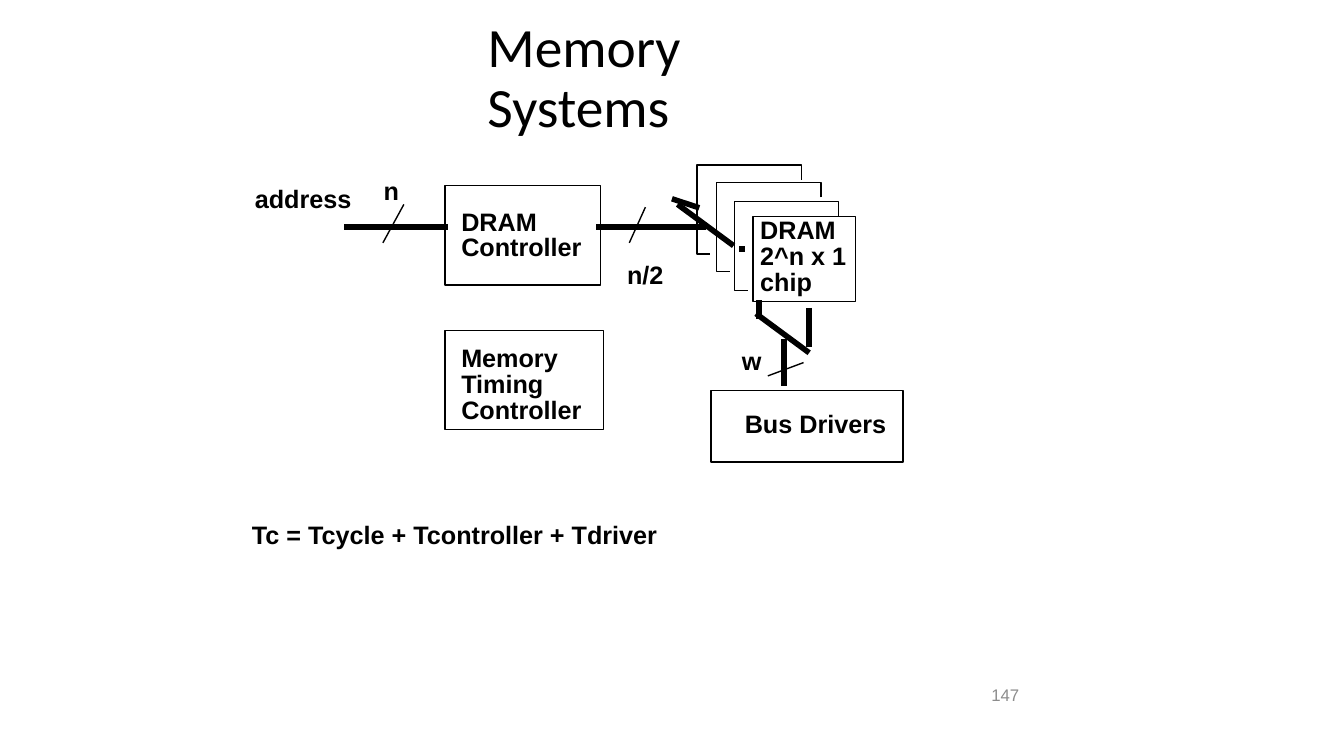
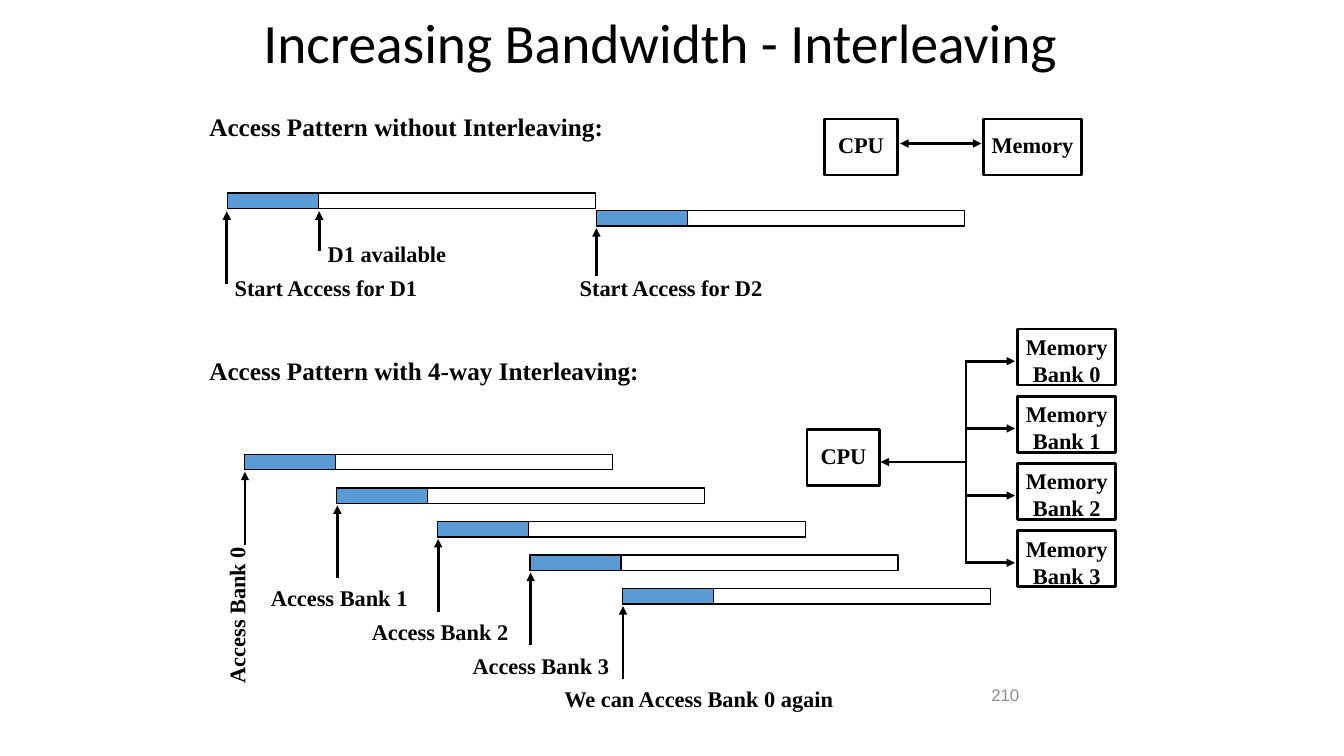
from dataclasses import dataclass

from pptx import Presentation
from pptx.dml.color import RGBColor
from pptx.enum import shapes, text
from pptx.oxml.ns import qn
from pptx.util import Pt

LEFT, MID = text.PP_ALIGN.LEFT, text.PP_ALIGN.CENTER


@dataclass(frozen=True)
class Theme:
    ink: RGBColor = RGBColor(0, 0, 0)
    gray: RGBColor = RGBColor(0x8C, 0x8C, 0x8C)
    blue: RGBColor = RGBColor(0x5B, 0x9B, 0xD5)
    thin: float = 1
    mid: float = 2
    bold: float = 4


T = Theme()
TITLE = dict(name="Calibri", size=Pt(39.6), bold=False)
FOOT = dict(name="Arial", size=Pt(12), bold=False)
SANS = dict(name="Arial", size=Pt(18), bold=True)
HEAD = dict(name="Times New Roman", size=Pt(18), bold=True)
SERIF = dict(HEAD, size=Pt(16))


def put(item, form):
    for key, val in form.items():
        setattr(item, key, val)


def write(frame, words, font, pad, gap=1.0, align=LEFT, wrap=True,
          anchor=text.MSO_ANCHOR.TOP, color=T.ink):
    """Fill a text frame, one paragraph a line; pad is (left, top)."""
    left, top = map(Pt, pad)
    put(frame, dict(word_wrap=wrap, auto_size=text.MSO_AUTO_SIZE.NONE,
                    vertical_anchor=anchor, margin_left=left,
                    margin_right=0, margin_top=top, margin_bottom=top))
    frame.text = words
    for para in frame.paragraphs:
        put(para, dict(alignment=align, line_spacing=gap))
        put(para.font, font)
        para.font.color.rgb = color


def edge(shape, width, fill=None):
    shape.shadow.inherit = False
    if fill is None:
        shape.fill.background()
    else:
        shape.fill.solid()
        shape.fill.fore_color.rgb = fill
    shape.line.color.rgb = T.ink
    shape.line.width = Pt(width)


class Pane:
    """A region of a slide; all lengths are points from its top left."""

    def __init__(self, slide, x, y):
        self.tree, self.x, self.y = slide.shapes, x, y

    def spot(self, x, y):
        return Pt(self.x + x), Pt(self.y + y)

    def box(self, x, y, w, h, width=T.thin, fill=None):
        rect = self.tree.add_shape(shapes.MSO_SHAPE.RECTANGLE,
                                   *self.spot(x, y), Pt(w), Pt(h))
        edge(rect, width, fill)
        return rect

    def block(self, x, y, w, h, words, pad):
        write(self.box(x, y, w, h).text_frame, words, SANS, pad, gap=0.85)

    def unit(self, x, y, w, words, top):
        rect = self.box(x, y, w, 40, T.mid)
        write(rect.text_frame, words, SERIF, (0, top), align=MID)

    def label(self, x, y, w, h, words, font=SERIF, turn=0):
        note = self.tree.add_textbox(*self.spot(x, y), Pt(w), Pt(h))
        note.rotation = turn
        sans = font is SANS
        write(note.text_frame, words, font, (5, 2.2) if sans else (7.2, 3.6),
              gap=0.85 if sans else 1.0, wrap=False)

    def line(self, x1, y1, x2, y2, width=T.mid, ends=()):
        wire = self.tree.add_connector(
            shapes.MSO_CONNECTOR.STRAIGHT,
            *self.spot(x1, y1), *self.spot(x2, y2))
        wire.line.color.rgb = T.ink
        wire.line.width = Pt(width)
        props = wire._element.spPr
        stroke = props.find(qn("a:ln"))
        for end in ends:
            tip = stroke.makeelement(qn(f"a:{end}End"), {"type": "triangle"})
            stroke.append(tip)
        props.append(props.makeelement(qn("a:effectLst"), {}))

    def rise(self, x, y, h):
        """Upward arrow whose tip is at x, y."""
        self.line(x, y, x, y + h, ends=["head"])

    def card(self, x, y):
        """Visible edges of a chip that lies behind another."""
        dots = [(74.5, 10.5), (74.5, 0), (0, 0), (0, 63.5), (9.5, 63.5)]
        dots = [self.spot(x + dx, y + dy) for dx, dy in dots]
        pen = self.tree.build_freeform(*dots[0])
        pen.add_line_segments(dots[1:], close=False)
        edge(pen.convert_to_shape(), T.thin)

    def bar(self, x, y):
        """Memory cycle with its access time in blue."""
        self.box(x, y, 65, 11, fill=T.blue)
        self.box(x, y, 263, 11)


def start(deck, words, at, page):
    slide = deck.slides.add_slide(deck.slide_layouts[5])
    title = slide.shapes.title
    put(title, dict(zip(("left", "top", "width", "height"), map(Pt, at))))
    write(title.text_frame, words, TITLE, (7.2, 3.6), gap=0.9,
          anchor=text.MSO_ANCHOR.MIDDLE)
    foot = slide.shapes.add_textbox(Pt(701), Pt(479.5), Pt(48), Pt(34))
    write(foot.text_frame, page, FOOT, (7.2, 3.6), color=T.gray,
          anchor=text.MSO_ANCHOR.MIDDLE)
    return slide


def control(pane):
    pane.label(2, 6, 79, 22, "address", SANS)
    pane.label(94, 0, 21, 22, "n", SANS)
    pane.label(268, 60, 36, 22, "n/2", SANS)
    pane.block(143, 6.5, 111, 71, "DRAM\nController", (11.5, 18))
    pane.block(143, 110, 113, 71, "Memory\nTiming\nController", (11.5, 12))
    pane.line(71, 36, 145, 36, T.bold)
    pane.line(251, 36, 329, 36, T.bold)
    pane.line(113.5, 20, 98.5, 47.5, T.thin)
    pane.line(286, 22, 274.5, 47.5, T.thin)
    pane.label(0, 246, 304, 22, "Tc = Tcycle + Tcontroller + Tdriver", SANS)


def chips(pane):
    for x, y in ((18, 0), (32, 12.5), (44.5, 26)):
        pane.card(x, y)
    pane.block(58, 36.5, 73, 61, "DRAM\n2^n x 1\nchip", (5, 2.2))
    for ends in ((19.5, 30.5, 0, 24), (4, 28, 44, 57.5), (48, 60, 52, 60)):
        pane.line(*ends, T.bold)


def output(pane):
    for ends in ((70, 6, 70, 34), (70, 38, 32, 10),
                 (34, 14, 34, 0), (52, 28, 52, 62)):
        pane.line(*ends, T.bold)
    pane.line(40.5, 54.5, 66, 45, T.thin)
    pane.label(17, 33.5, 24, 22, "w", SANS)
    pane.block(0, 65, 137, 51, "Bus Drivers", (24, 16))


def serial(pane):
    pane.label(0, 0, 299, 29, "Access Pattern without Interleaving:", HEAD)
    pane.bar(20, 62)
    pane.bar(283.5, 74.5)
    for x, y, h in ((19.5, 75, 52), (85.5, 75, 28), (283.5, 87, 34)):
        pane.rise(x, y, h)
    pane.label(84.5, 92, 100, 26, "D1 available")
    pane.label(18, 116, 146, 26, "Start Access for D1")
    pane.label(264.5, 116, 146, 26, "Start Access for D2")


def link(pane):
    pane.unit(0, 0, 52, "CPU", 8.5)
    pane.unit(113.5, 0, 70, "Memory", 8.5)
    pane.line(54, 17.5, 112, 17.5, ends=["head", "tail"])


def woven(pane):
    pane.label(0, 0, 325, 29, "Access Pattern with 4-way Interleaving:", HEAD)
    for i, x in enumerate((32, 98, 170, 236, 302)):
        y = 74 + 24 * i
        pane.bar(x, y)
        pane.rise(x + 0.5, y + 12.5, 52)
    pane.label(-30, 175, 113, 26.5, "Access Bank 0", turn=270)
    for i in range(3):
        pane.label(44 + 72 * i, 163.5 + 24 * i, 113, 26.5,
                   f"Access Bank {i + 1}")
    pane.label(253.5, 235.5, 209, 26, "We can Access Bank 0 again")


def banks(pane):
    pane.unit(0, 72, 52, "CPU", 8.5)
    for i in range(4):
        y = 48 * i
        pane.unit(150.5, y, 70, f"Memory\nBank {i}", 3)
        pane.line(114.5, y + 23, 148.5, y + 23, ends=["tail"])
    pane.line(113.5, 168, 113.5, 22)
    pane.line(114.5, 95, 52.5, 95, ends=["tail"])


def main():
    deck = Presentation()
    deck.slide_width, deck.slide_height = Pt(960), Pt(540)

    slide = start(deck, "Memory Systems", (341, 36, 208, 42), "147")
    control(Pane(slide, 175, 126))
    chips(Pane(slide, 480, 118))
    output(Pane(slide, 508, 214))

    slide = start(deck, "Increasing Bandwidth - Interleaving",
                  (181, 18, 590, 29), "210")
    serial(Pane(slide, 142.5, 76))
    link(Pane(slide, 589, 85))
    woven(Pane(slide, 142.5, 250.5))
    banks(Pane(slide, 576.5, 235))

    deck.save("out.pptx")


if __name__ == "__main__":
    main()
